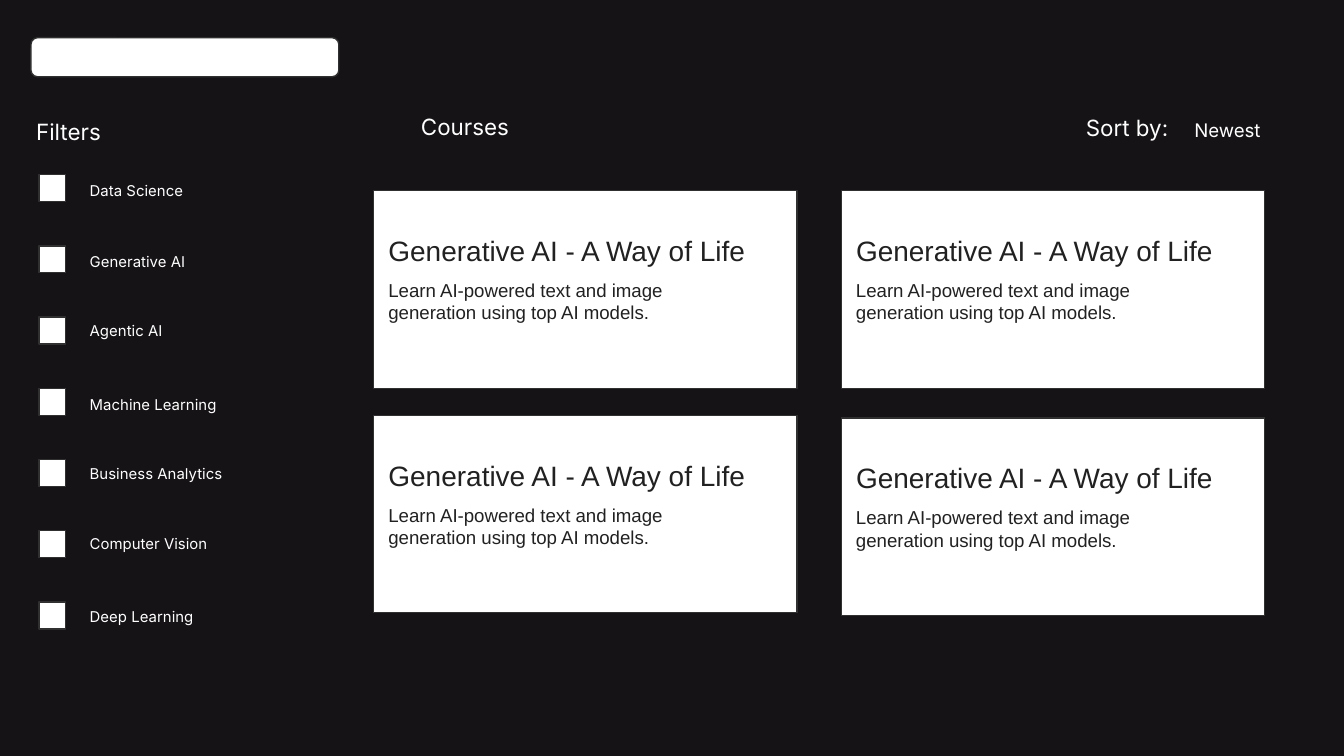
import pptx
import pptx.util
import pptx.dml.color
import pptx.enum.shapes
import pptx.enum.text

Pt = pptx.util.Pt
SHAPES = pptx.enum.shapes.MSO_SHAPE
ALIGN = pptx.enum.text.PP_ALIGN
ANCHOR = pptx.enum.text.MSO_ANCHOR
AUTO_SIZE = pptx.enum.text.MSO_AUTO_SIZE

DARK, WHITE, OUTLINE, INK = "151316", "FFFFFF", "303030", "212121"
HEADING = {"name": "Inter", "size": Pt(12)}
SORT_VALUE = {"name": "Inter", "size": Pt(10)}
FILTER_LABEL = {"name": "Inter", "size": Pt(8)}
CARD_TITLE = {"name": "Arial", "size": Pt(15)}
CARD_BODY = {"name": "Arial", "size": Pt(10)}
FRAME = {
    "margin_left": Pt(7.2), "margin_right": Pt(7.2),
    "margin_top": Pt(7.2), "margin_bottom": Pt(7.2),
    "word_wrap": True, "auto_size": AUTO_SIZE.NONE,
}

FILTERS = [
    ("Data Science", 0), ("Generative AI", 0), ("Agentic AI", -1.4),
    ("Machine Learning", 0), ("Business Analytics", -0.7),
    ("Computer Vision", -1.4), ("Deep Learning", -0.7),
]
FILTER_STEP = 38.16
COURSE = "Generative AI - A Way of Life"
DESCRIPTION = ["Learn AI-powered text and image", "generation using top AI models."]
CARD_WIDTH, CARD_HEIGHT = 226.8, 105.84
CARD_POSITIONS = [(200.2, 102.2), (450.7, 102.2), (200.2, 222.5), (450.7, 223.9)]


def paint(color_owner, color):
    color_owner.solid()
    color_owner.fore_color.rgb = pptx.dml.color.RGBColor.from_string(color)


def set_attributes(target, values):
    for name, value in values.items():
        setattr(target, name, value)


def write(shape, lines, font, color, align=ALIGN.LEFT, anchor=ANCHOR.TOP):
    frame = shape.text_frame
    frame.text = "\n".join(lines)
    set_attributes(frame, {**FRAME, "vertical_anchor": anchor})
    for paragraph in frame.paragraphs:
        paragraph.alignment = align
        set_attributes(paragraph.font, font)
        paint(paragraph.font.fill, color)


def add_text(slide, left, top, width, height, lines, font, color, **layout):
    box = slide.shapes.add_textbox(Pt(left), Pt(top), Pt(width), Pt(height))
    write(box, lines, font, color, **layout)


def add_panel(slide, left, top, width, height, kind=SHAPES.RECTANGLE):
    panel = slide.shapes.add_shape(kind, Pt(left), Pt(top), Pt(width), Pt(height))
    panel.shadow.inherit = False
    paint(panel.fill, WHITE)
    paint(panel.line.fill, OUTLINE)
    panel.line.width = Pt(0.75)


def add_header(slide, left, top):
    title = slide.shapes.title
    set_attributes(title, {"left": Pt(left), "top": Pt(top),
                           "width": Pt(67.7), "height": Pt(32.4)})
    write(title, ["Courses"], HEADING, WHITE, align=ALIGN.CENTER)
    add_text(slide, left + 354.7, top + 0.7, 67.7, 32.4, ["Sort by:"],
             HEADING, WHITE, align=ALIGN.CENTER)
    add_text(slide, left + 417.5, top + 5.7, 60.5, 20.9, ["Newest"],
             SORT_VALUE, WHITE, anchor=ANCHOR.MIDDLE)


def add_sidebar(slide, left, top):
    add_panel(slide, left, top, 164.9, 20.9, SHAPES.ROUNDED_RECTANGLE)
    add_text(slide, left - 10.1, top + 36, 60.5, 32.4, ["Filters"],
             HEADING, WHITE, align=ALIGN.CENTER)
    for index, (label, nudge) in enumerate(FILTERS):
        row_top = top + 73.4 + index * FILTER_STEP
        add_panel(slide, left + 4.3, row_top, 14.4, 14.4)
        add_text(slide, left + 24.4, row_top - 3.6 + nudge, 194.4, 32.4,
                 [label], FILTER_LABEL, WHITE)


def add_card(slide, left, top, width, height):
    add_panel(slide, left, top, width, height)
    add_text(slide, left + 0.8, top + 15.8, width, 32.4, [COURSE], CARD_TITLE, INK)
    add_text(slide, left + 0.8, top + 40, width - 18, 38.9,
             DESCRIPTION, CARD_BODY, INK)


def main():
    presentation = pptx.Presentation()
    presentation.slide_width = Pt(720)
    presentation.slide_height = Pt(405)
    slide = presentation.slides.add_slide(presentation.slide_layouts[5])
    paint(slide.background.fill, DARK)
    add_sidebar(slide, 16.6, 20.2)
    add_header(slide, 215.3, 53.3)
    for left, top in CARD_POSITIONS:
        add_card(slide, left, top, CARD_WIDTH, CARD_HEIGHT)
    presentation.save("out.pptx")


if __name__ == "__main__":
    main()
